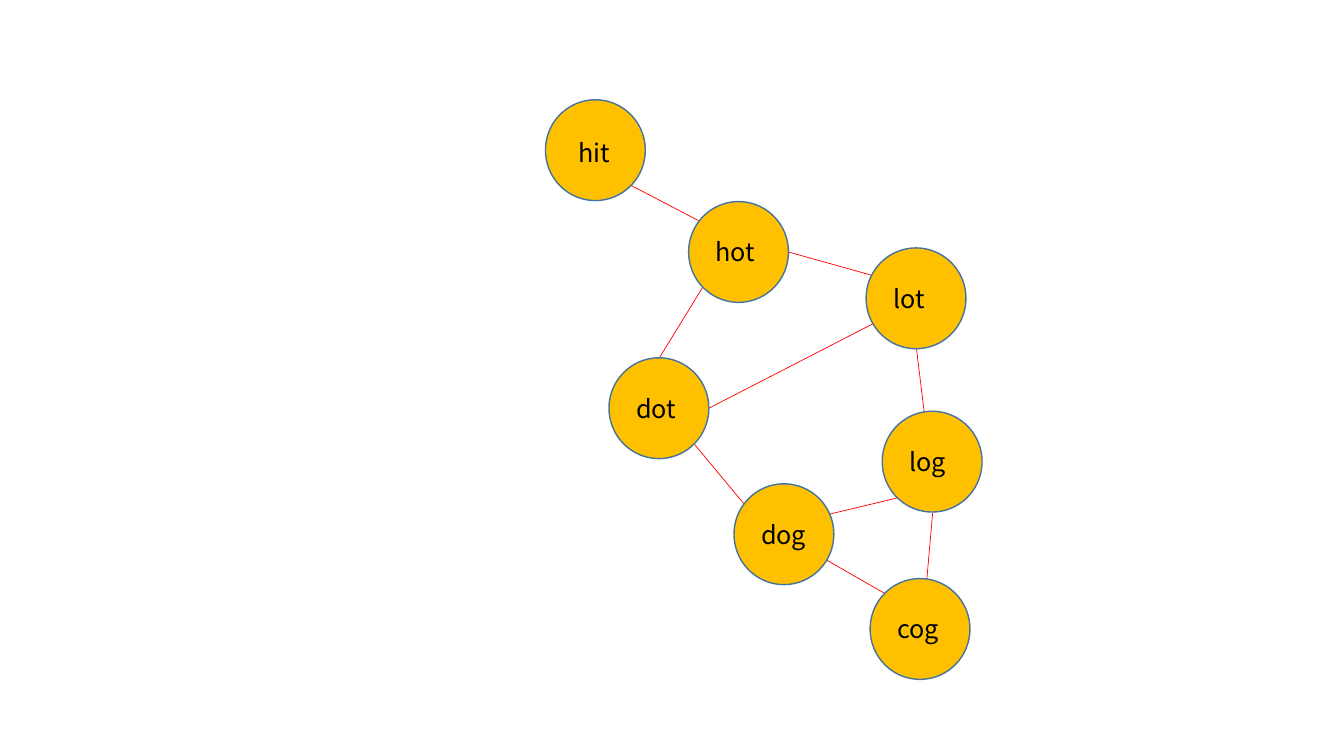
import pptx
import pptx.util
import pptx.dml.color
import pptx.enum.shapes
import pptx.enum.text
import pptx.oxml.ns
import lxml.etree

Inches = pptx.util.Inches
Pt = pptx.util.Pt

FONT = "Noto Sans CJK KR"
NODE_WIDTH, NODE_HEIGHT = 0.99, 1.0
LABEL_WIDTH, LABEL_HEIGHT = 0.65, 0.4
LABEL_OFFSET = (0.17, 0.3)

NODES = {
    "hit": (5.41, 0.99),
    "hot": (6.83, 2.0),
    "lot": (8.59, 2.46),
    "dot": (6.04, 3.55),
    "dog": (7.28, 4.8),
    "log": (8.75, 4.08),
    "cog": (8.63, 5.74),
}
SPECIAL_OFFSETS = {"hit": (0.23, 0.32)}
FILLED_LABELS = {"lot", "dot"}

EDGES = {
    ("lot", "dot"): (8.76, 3.16, 7.03, 4.05),
    ("dog", "cog"): (8.1, 5.5, 8.78, 5.89),
    ("cog", "log"): (9.18, 5.89, 9.25, 5.09),
    ("dog", "dot"): (7.38, 5.0, 6.89, 4.41),
    ("lot", "log"): (9.09, 3.46, 9.18, 4.2),
    ("hot", "lot"): (7.82, 2.5, 8.75, 2.76),
    ("hit", "hot"): (6.26, 1.84, 6.95, 2.2),
    ("dot", "hot"): (6.54, 3.55, 6.97, 2.85),
    ("dog", "log"): (8.23, 5.1, 8.9, 4.94),
}


def color(value):
    return pptx.dml.color.RGBColor.from_string(value)


def fill_shape(shape, value):
    shape.fill.solid()
    shape.fill.fore_color.rgb = color(value)


def style_line(line, value, width):
    line.color.rgb = color(value)
    line.width = Pt(width)


def add_edge(slide, ends):
    connector = slide.shapes.add_connector(
        pptx.enum.shapes.MSO_CONNECTOR.STRAIGHT, *map(Inches, ends))
    style_line(connector.line, "FF0000", 0.5)
    lxml.etree.SubElement(
        connector.element.spPr, pptx.oxml.ns.qn("a:effectLst"))


def add_node(slide, word, left, top):
    circle = slide.shapes.add_shape(
        pptx.enum.shapes.MSO_SHAPE.OVAL,
        Inches(left), Inches(top), Inches(NODE_WIDTH), Inches(NODE_HEIGHT))
    circle.shadow.inherit = False
    fill_shape(circle, "FFC000")
    style_line(circle.line, "43739E", 1)

    offset_x, offset_y = SPECIAL_OFFSETS.get(word, LABEL_OFFSET)
    label = slide.shapes.add_textbox(
        Inches(left + offset_x), Inches(top + offset_y),
        Inches(LABEL_WIDTH), Inches(LABEL_HEIGHT))
    if word in FILLED_LABELS:
        fill_shape(label, "FFC000")
    frame = label.text_frame
    frame.word_wrap = True
    frame.auto_size = pptx.enum.text.MSO_AUTO_SIZE.SHAPE_TO_FIT_TEXT
    run = frame.paragraphs[0].add_run()
    run.text = word
    run.font.name = FONT
    run.font.size = Pt(18)
    run.font.color.rgb = color("000000")


presentation = pptx.Presentation()
presentation.slide_width = Inches(13.33)
presentation.slide_height = Inches(7.5)
slide = presentation.slides.add_slide(presentation.slide_layouts[6])

for ends in EDGES.values():
    add_edge(slide, ends)
for word, (left, top) in NODES.items():
    add_node(slide, word, left, top)

presentation.save("out.pptx")
